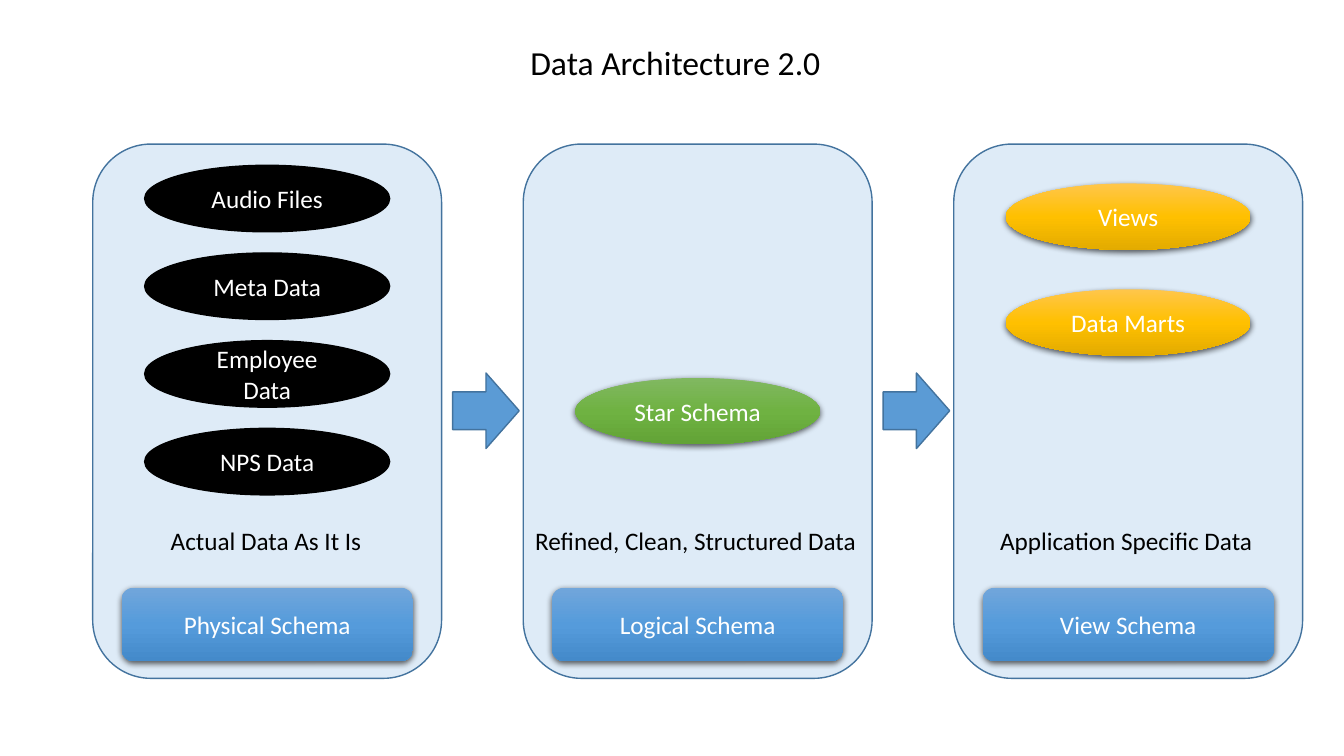
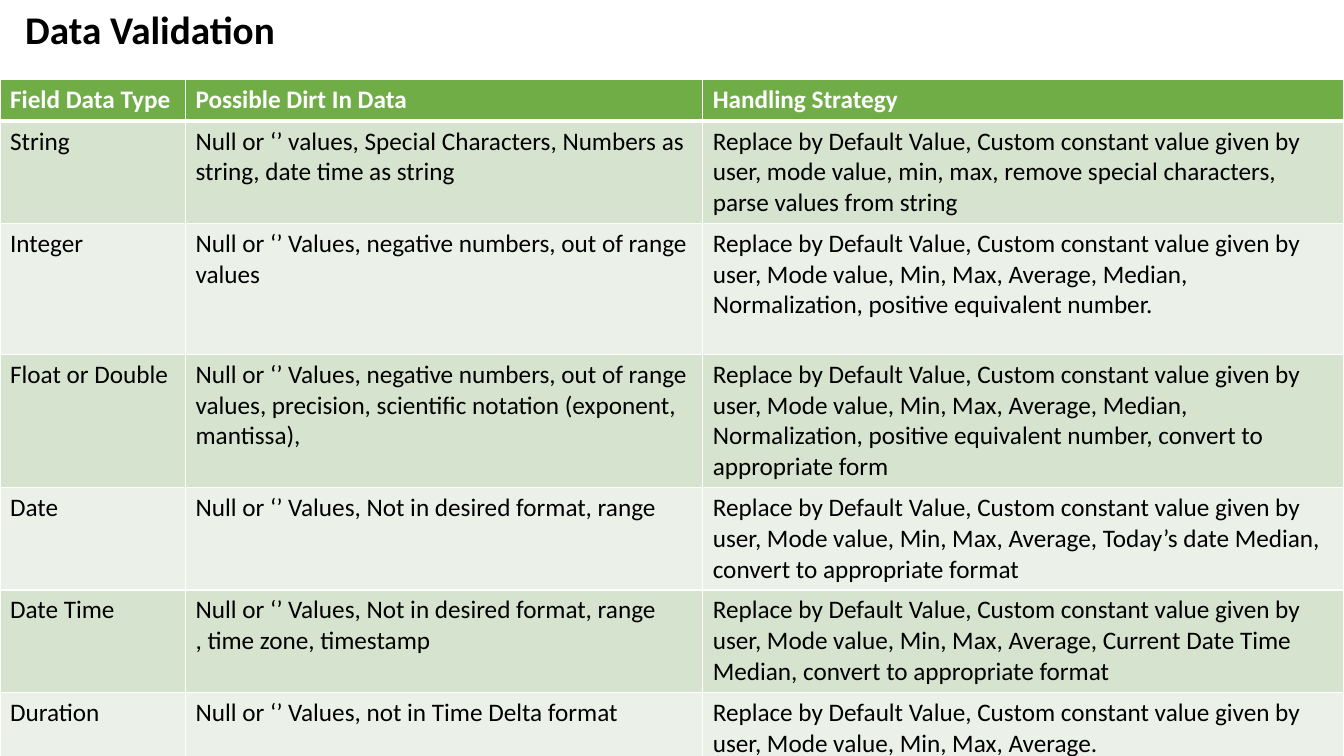
import dataclasses
import typing

import lxml.etree
import pptx
import pptx.dml.color
import pptx.enum.shapes
import pptx.enum.text
import pptx.oxml
import pptx.oxml.ns
import pptx.presentation
import pptx.shapes.autoshape
import pptx.slide
import pptx.table
import pptx.text.text
import pptx.util

FONT = "Calibri"
BODY_SIZE = 18
SLIDE_WIDTH, SLIDE_HEIGHT = 13.33, 7.5
TITLE_ONLY = 5

BLACK, WHITE = "000000", "FFFFFF"
PANEL_BLUE, OUTLINE_BLUE, ARROW_BLUE = "DEEBF7", "43739E", "5B9BD5"
HEADER_GREEN, BAND_COLOURS = "70AD47", ("D5E3CF", "EBF1E9")
BLUE_SHADES = ("71A6DB", "559BDB", "448ACA")
GREEN_SHADES = ("81B861", "6FB242", "62A336")
GOLD_SHADES = ("FFC64B", "FFC000", "E3AB00")

PANEL_LEFT, PANEL_TOP, PANEL_PITCH = 0.92, 1.43, 4.27
PANEL_WIDTH, PANEL_HEIGHT = 3.46, 5.3
OVAL_WIDTH, OVAL_HEIGHT = 2.43, 0.66
SCHEMA_TOP, SCHEMA_WIDTH, SCHEMA_HEIGHT = 5.83, 2.89, 0.73
LABEL_TOP, LABEL_HEIGHT = 5.16, 0.4
ARROW_OFFSET, ARROW_TOP, ARROW_WIDTH, ARROW_HEIGHT = 3.57, 3.7, 0.66, 0.75

TABLE_TOP = 0.79
COLUMN_WIDTHS = (1.84, 5.13, 6.36)
HEADER_HEIGHT, LINE_HEIGHT, CELL_PADDING = 0.41, 0.3, 0.1

Shape = pptx.enum.shapes.MSO_SHAPE
Align = pptx.enum.text.PP_ALIGN
Anchor = pptx.enum.text.MSO_ANCHOR


class Box(typing.NamedTuple):
    left: float
    top: float
    width: float
    height: float

    def lengths(self) -> list[pptx.util.Length]:
        return [pptx.util.Inches(value) for value in self]


@dataclasses.dataclass(frozen=True)
class Style:
    fills: tuple[str, ...]
    line: str | None = None


@dataclasses.dataclass(frozen=True)
class Stage:
    schema: str
    label: str
    label_width: float
    ovals: tuple[str, ...]
    oval_style: Style
    first_oval: float
    oval_step: float = 0


@dataclasses.dataclass(frozen=True)
class FieldRule:
    cells: tuple[str, str, str]
    lines: int


PANEL_STYLE = Style((PANEL_BLUE,), OUTLINE_BLUE)
ARROW_STYLE = Style((ARROW_BLUE,), OUTLINE_BLUE)
SCHEMA_STYLE = Style(BLUE_SHADES)

STAGES = (
    Stage("Physical Schema", "Actual Data As It Is", 2.11,
          ("Audio Files", "Meta Data", "Employee Data", "NPS Data"),
          Style((BLACK,), BLACK), 1.64, 0.87),
    Stage("Logical Schema", "Refined, Clean, Structured Data", 3.42,
          ("Star Schema",), Style(GREEN_SHADES), 3.75),
    Stage("View Schema", "Application Specific Data", 2.74,
          ("Views", "Data Marts"), Style(GOLD_SHADES), 1.82, 1.05),
)

HEADINGS = ("Field Data Type", "Possible Dirt In Data", "Handling Strategy")
DEFAULT = "Replace by Default Value, Custom constant value given by user, "
STATISTICS = DEFAULT + "Mode value, Min, Max, Average"
FIELD_RULES = (
    FieldRule(("String",
               "Null or ‘’ values, Special Characters, Numbers as string, date time as string",
               DEFAULT + "mode value, min, max, remove special characters, "
               "parse values from string"), 3),
    FieldRule(("Integer",
               "Null or ‘’ Values, negative numbers, out of range values",
               STATISTICS + ", Median, Normalization, positive equivalent number."), 4),
    FieldRule(("Float or Double",
               "Null or ‘’ Values, negative numbers, out of range values, precision, "
               "scientific notation (exponent, mantissa),",
               STATISTICS + ", Median, Normalization, positive equivalent number, "
               "convert to appropriate form"), 4),
    FieldRule(("Date",
               "Null or ‘’ Values, Not in desired format, range",
               STATISTICS + ", Today’s date Median, convert to appropriate format"), 3),
    FieldRule(("Date Time",
               "Null or ‘’ Values, Not in desired format, range\n, time zone, timestamp",
               STATISTICS + ", Current Date Time Median, convert to appropriate format"), 3),
    FieldRule(("Duration",
               "Null or ‘’ Values, not in Time Delta format",
               STATISTICS + "."), 2),
)


def colour(value: str) -> pptx.dml.color.RGBColor:
    return pptx.dml.color.RGBColor.from_string(value)


def add_element(parent: typing.Any, tag: str, **attributes: typing.Any) -> typing.Any:
    values = {name: str(value) for name, value in attributes.items()}
    return lxml.etree.SubElement(parent, pptx.oxml.ns.qn(tag), values)


def write(frame: pptx.text.text.TextFrame, text: str, size: float, text_colour: str,
          alignment: Align = Align.LEFT, bold: bool = False) -> None:
    frame.text = text
    for paragraph in frame.paragraphs:
        paragraph.alignment = alignment
        for run in paragraph.runs:
            run.font.name = FONT
            run.font.size = pptx.util.Pt(size)
            run.font.bold = bold
            run.font.color.rgb = colour(text_colour)


def add_titled_slide(presentation: pptx.presentation.Presentation, text: str, box: Box,
                     size: float, bold: bool = False) -> pptx.slide.Slide:
    slide = presentation.slides.add_slide(presentation.slide_layouts[TITLE_ONLY])
    title = slide.shapes.title
    title.left, title.top, title.width, title.height = box.lengths()
    frame = title.text_frame
    frame.word_wrap = True
    frame.auto_size = pptx.enum.text.MSO_AUTO_SIZE.NONE
    frame.vertical_anchor = Anchor.TOP
    write(frame, text, size, BLACK, bold=bold)
    return slide


def shade(shape: pptx.shapes.autoshape.Shape, shades: tuple[str, ...]) -> None:
    shape.fill.gradient()
    shape.fill.gradient_angle = 270
    properties = shape.element.spPr
    stops = properties.find(".//" + pptx.oxml.ns.qn("a:gsLst"))
    for stop in list(stops):
        stops.remove(stop)
    for index, value in enumerate(shades):
        stop = add_element(stops, "a:gs", pos=index * 100000 // (len(shades) - 1))
        add_element(stop, "a:srgbClr", val=value)
    effects = properties.find(pptx.oxml.ns.qn("a:effectLst"))
    shadow = add_element(effects, "a:outerShdw", blurRad=pptx.util.Pt(4.5),
                         dist=pptx.util.Pt(1.5), dir=5400000, algn="ctr", rotWithShape=0)
    shadow_colour = add_element(shadow, "a:srgbClr", val=BLACK)
    add_element(shadow_colour, "a:alpha", val=63000)


def add_figure(slide: pptx.slide.Slide, kind: Shape, box: Box, style: Style,
               text: str = "") -> None:
    shape = slide.shapes.add_shape(kind, *box.lengths())
    shape.shadow.inherit = False
    if len(style.fills) > 1:
        shade(shape, style.fills)
    else:
        shape.fill.solid()
        shape.fill.fore_color.rgb = colour(style.fills[0])
    if style.line:
        shape.line.color.rgb = colour(style.line)
        shape.line.width = pptx.util.Pt(1)
    else:
        shape.line.fill.background()
    if text:
        shape.text_frame.vertical_anchor = Anchor.MIDDLE
        write(shape.text_frame, text, BODY_SIZE, WHITE, Align.CENTER)


def add_stage(slide: pptx.slide.Slide, stage: Stage, left: float) -> None:
    def centred(top: float, width: float, height: float) -> Box:
        return Box(left + (PANEL_WIDTH - width) / 2, top, width, height)

    add_figure(slide, Shape.ROUNDED_RECTANGLE,
               centred(PANEL_TOP, PANEL_WIDTH, PANEL_HEIGHT), PANEL_STYLE)
    add_figure(slide, Shape.ROUNDED_RECTANGLE,
               centred(SCHEMA_TOP, SCHEMA_WIDTH, SCHEMA_HEIGHT), SCHEMA_STYLE, stage.schema)
    for index, text in enumerate(stage.ovals):
        top = stage.first_oval + index * stage.oval_step
        add_figure(slide, Shape.OVAL, centred(top, OVAL_WIDTH, OVAL_HEIGHT),
                   stage.oval_style, text)
    box = centred(LABEL_TOP, stage.label_width, LABEL_HEIGHT)
    label = slide.shapes.add_textbox(*box.lengths())
    label.text_frame.word_wrap = False
    write(label.text_frame, stage.label, BODY_SIZE, BLACK)


def build_architecture(presentation: pptx.presentation.Presentation) -> None:
    slide = add_titled_slide(presentation, "Data Architecture 2.0",
                             Box(5.16, 0.37, 3.67, 0.5), 24)
    for index, stage in enumerate(STAGES):
        left = PANEL_LEFT + index * PANEL_PITCH
        add_stage(slide, stage, left)
        if index < len(STAGES) - 1:
            box = Box(left + ARROW_OFFSET, ARROW_TOP, ARROW_WIDTH, ARROW_HEIGHT)
            add_figure(slide, Shape.RIGHT_ARROW, box, ARROW_STYLE)


def format_cell(cell: pptx.table._Cell, text: str, row: int) -> None:
    properties = cell._tc.get_or_add_tcPr()
    widths = {"L": 1, "R": 1, "T": 3 if row == 1 else 1, "B": 3 if row == 0 else 1}
    for side, width in widths.items():
        border = add_element(properties, "a:ln" + side, w=pptx.util.Pt(width))
        add_element(add_element(border, "a:solidFill"), "a:srgbClr", val=WHITE)
    header = row == 0
    cell.fill.solid()
    cell.fill.fore_color.rgb = colour(HEADER_GREEN if header else BAND_COLOURS[(row - 1) % 2])
    write(cell.text_frame, text, BODY_SIZE, WHITE if header else BLACK, bold=header)


def build_validation(presentation: pptx.presentation.Presentation) -> None:
    slide = add_titled_slide(presentation, "Data Validation",
                             Box(0.15, 0, 2.8, 0.57), 28, bold=True)
    rows = (HEADINGS, *(rule.cells for rule in FIELD_RULES))
    heights = (HEADER_HEIGHT,
               *(rule.lines * LINE_HEIGHT + CELL_PADDING for rule in FIELD_RULES))
    box = Box(0, TABLE_TOP, SLIDE_WIDTH, sum(heights))
    table = slide.shapes.add_table(len(rows), len(HEADINGS), *box.lengths()).table
    table.horz_banding = False
    for column, width in zip(table.columns, COLUMN_WIDTHS):
        column.width = pptx.util.Inches(width)
    for row, (texts, height) in enumerate(zip(rows, heights)):
        table.rows[row].height = pptx.util.Inches(height)
        for column, text in enumerate(texts):
            format_cell(table.cell(row, column), text, row)


def main() -> None:
    presentation = pptx.Presentation()
    presentation.slide_width = pptx.util.Inches(SLIDE_WIDTH)
    presentation.slide_height = pptx.util.Inches(SLIDE_HEIGHT)
    build_architecture(presentation)
    build_validation(presentation)
    presentation.save("out.pptx")


if __name__ == "__main__":
    main()
